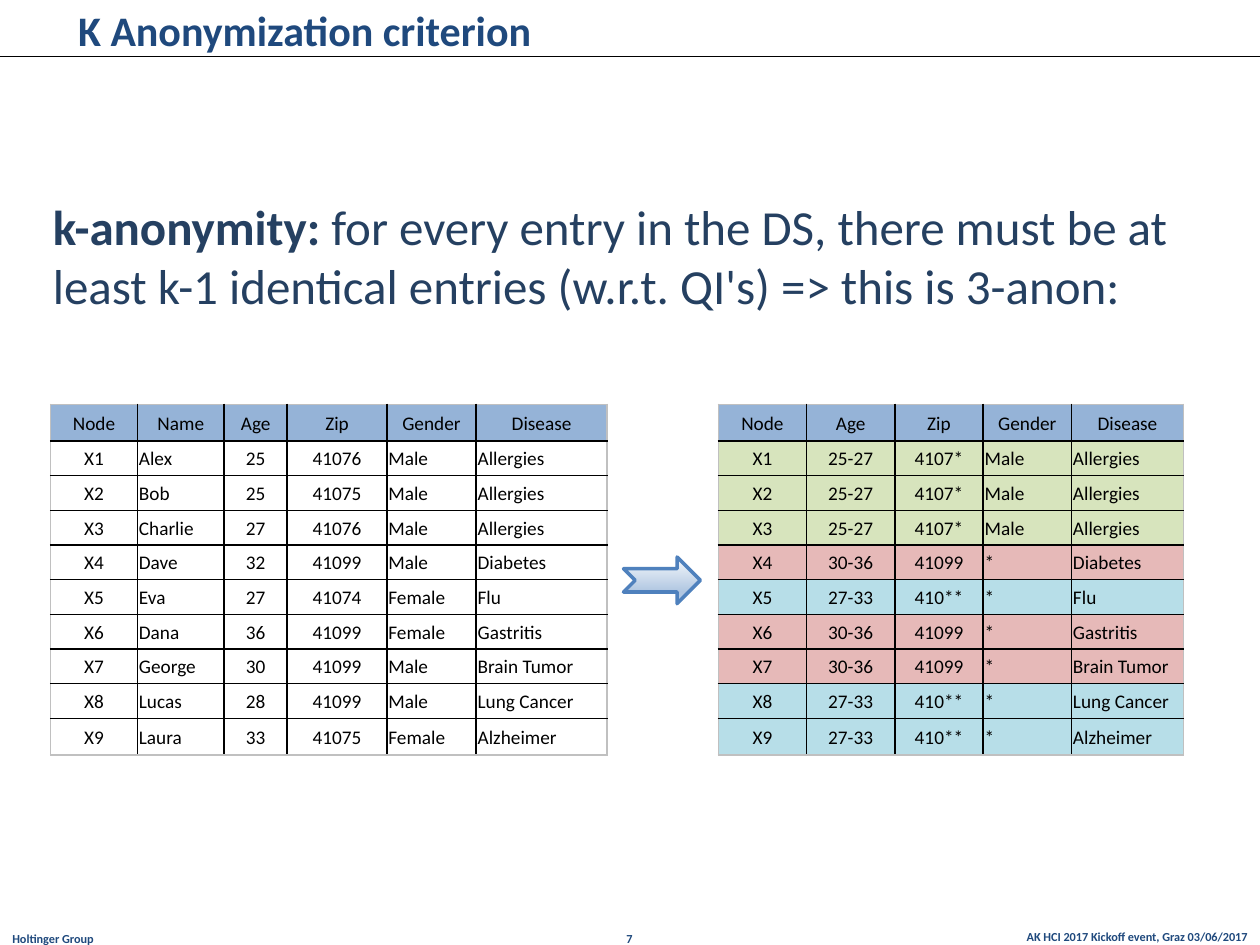
from copy import deepcopy

from lxml import etree
from pptx import Presentation
from pptx import util as u
from pptx.dml.color import RGBColor
from pptx.enum import shapes, text
from pptx.oxml.ns import qn

BLACK = RGBColor(0x00, 0x00, 0x00)
GREY = RGBColor(0xC0, 0xC0, 0xC0)
NAVY = RGBColor(0x1F, 0x49, 0x7D)
DARK_NAVY = RGBColor(0x25, 0x40, 0x61)
HEADER_BLUE = RGBColor(0x95, 0xB3, 0xD7)
GREEN = RGBColor(0xD7, 0xE4, 0xBD)
ROSE = RGBColor(0xE6, 0xB9, 0xB8)
AQUA = RGBColor(0xB7, 0xDE, 0xE8)
ARROW_LINE = RGBColor(0x4F, 0x81, 0xBD)
ARROW_LIGHT = RGBColor(0xF6, 0xF9, 0xFC)
ARROW_MID = RGBColor(0xB0, 0xC6, 0xE1)
ARROW_END = RGBColor(0xCA, 0xD9, 0xEB)
ARROW_STOPS = [(0, ARROW_LIGHT), (0.74, ARROW_MID), (0.83, ARROW_MID), (1, ARROW_END)]

LEFT_ALIGNED = {"Name", "Gender", "Disease"}
TABLE_TOP = 8.15
EDGE_ROW, INNER_ROW = 0.74, 0.7

PEOPLE = [
    ("Node", "Name", "Age", "Zip", "Gender", "Disease"),
    ("X1", "Alex", "25", "41076", "Male", "Allergies"),
    ("X2", "Bob", "25", "41075", "Male", "Allergies"),
    ("X3", "Charlie", "27", "41076", "Male", "Allergies"),
    ("X4", "Dave", "32", "41099", "Male", "Diabetes"),
    ("X5", "Eva", "27", "41074", "Female", "Flu"),
    ("X6", "Dana", "36", "41099", "Female", "Gastritis"),
    ("X7", "George", "30", "41099", "Male", "Brain Tumor"),
    ("X8", "Lucas", "28", "41099", "Male", "Lung Cancer"),
    ("X9", "Laura", "33", "41075", "Female", "Alzheimer"),
]
GROUPS = {
    GREEN: ("25-27", "4107*", "Male"),
    ROSE: ("30-36", "41099", "*"),
    AQUA: ("27-33", "410**", "*"),
}
GROUP_ORDER = [GREEN, GREEN, GREEN, ROSE, AQUA, ROSE, ROSE, AQUA, AQUA]
ANONYMOUS = [("Node", "Age", "Zip", "Gender", "Disease")] + [
    (person[0], *GROUPS[group], person[-1])
    for person, group in zip(PEOPLE[1:], GROUP_ORDER)
]


class SlideBuilder:
    font = "Calibri"

    def __init__(self, slide):
        self.slide = slide

    def add_run(self, paragraph, words, size, color, bold=False):
        run = paragraph.add_run()
        run.text = words
        run.font.name = self.font
        run.font.size = u.Pt(size)
        run.font.bold = bold
        run.font.color.rgb = color

    def place(self, shape, left, top, width, height):
        shape.left, shape.top = u.Cm(left), u.Cm(top)
        shape.width, shape.height = u.Cm(width), u.Cm(height)

    def fill_placeholder(self, shape, box, runs, size, color):
        self.place(shape, *box)
        frame = shape.text_frame
        frame.auto_size = text.MSO_AUTO_SIZE.NONE
        frame.word_wrap = True
        frame.vertical_anchor = text.MSO_ANCHOR.TOP
        paragraph = frame.paragraphs[0]
        paragraph.alignment = text.PP_ALIGN.LEFT
        paragraph.space_before = u.Pt(0)
        properties = paragraph._p.get_or_add_pPr()
        properties.set("marL", "0")
        properties.set("indent", "0")
        etree.SubElement(properties, qn("a:buNone"))
        for words, bold in runs:
            self.add_run(paragraph, words, size, color, bold)

    def title(self, words, box):
        self.fill_placeholder(self.slide.shapes.title, box, [(words, True)], 24, NAVY)

    def body(self, runs, box):
        self.fill_placeholder(self.slide.placeholders[1], box, runs, 28, DARK_NAVY)

    def footer(self, words, left, top, width, alignment):
        shape = self.slide.shapes.add_textbox(
            u.Cm(left), u.Cm(top), u.Cm(width), u.Cm(0.76))
        frame = shape.text_frame
        frame.word_wrap = True
        frame.vertical_anchor = text.MSO_ANCHOR.BOTTOM
        frame.margin_bottom = 0
        frame.paragraphs[0].alignment = alignment
        self.add_run(frame.paragraphs[0], words, 7, NAVY, True)

    def rule(self, left, right, height):
        line = self.slide.shapes.add_connector(
            shapes.MSO_CONNECTOR.STRAIGHT, u.Cm(left), u.Cm(height), u.Cm(right), u.Cm(height))
        line.line.color.rgb = BLACK
        line.line.width = u.Pt(0.75)
        etree.SubElement(line._element.spPr, qn("a:effectLst"))

    def border(self, cell, side, color):
        line = etree.SubElement(
            cell._tc.get_or_add_tcPr(), qn(f"a:ln{side}"), w=str(u.Pt(1)))
        solid = etree.SubElement(line, qn("a:solidFill"))
        etree.SubElement(solid, qn("a:srgbClr"), val=str(color))

    def table(self, rows, left, widths, row_fills):
        heights = [EDGE_ROW] + [INNER_ROW] * (len(rows) - 2) + [EDGE_ROW]
        table = self.slide.shapes.add_table(
            len(rows), len(widths), u.Cm(left), u.Cm(TABLE_TOP),
            u.Cm(sum(widths)), u.Cm(sum(heights))).table
        table.first_row = table.horz_banding = False
        for column, width in zip(table.columns, widths):
            column.width = u.Cm(width)
        last_row, last_column = len(rows) - 1, len(widths) - 1
        for i, (row, fill) in enumerate(zip(rows, row_fills)):
            table.rows[i].height = u.Cm(heights[i])
            for j, words in enumerate(row):
                cell = table.cell(i, j)
                outer = {"L": j == 0, "R": j == last_column, "T": i == 0, "B": i == last_row}
                for side, is_outer in outer.items():
                    self.border(cell, side, GREY if is_outer else BLACK)
                self.fill_cell(cell, words, fill, i > 0 and rows[0][j] in LEFT_ALIGNED)

    def fill_cell(self, cell, words, fill, to_left):
        if fill is None:
            cell.fill.background()
        else:
            cell.fill.solid()
            cell.fill.fore_color.rgb = fill
        cell.margin_left = cell.margin_right = cell.margin_top = u.Cm(0.03)
        cell.margin_bottom = 0
        cell.vertical_anchor = text.MSO_ANCHOR.MIDDLE
        paragraph = cell.text_frame.paragraphs[0]
        paragraph.alignment = text.PP_ALIGN.LEFT if to_left else text.PP_ALIGN.CENTER
        self.add_run(paragraph, words, 11, BLACK)

    def arrow(self, left, top, width, height):
        shape = self.slide.shapes.add_shape(
            shapes.MSO_SHAPE.NOTCHED_RIGHT_ARROW,
            u.Cm(left), u.Cm(top), u.Cm(width), u.Cm(height))
        shape.shadow.inherit = False
        shape.line.color.rgb = ARROW_LINE
        shape.line.width = u.Pt(2)
        shape.fill.gradient()
        shape.fill.gradient_angle = 270
        stops = shape._element.spPr.find(".//" + qn("a:gsLst"))
        while len(stops) < len(ARROW_STOPS):
            stops.append(deepcopy(stops[0]))
        for stop, (position, color) in zip(shape.fill.gradient_stops, ARROW_STOPS):
            stop.position = position
            stop.color.rgb = color


def main():
    presentation = Presentation()
    presentation.slide_width, presentation.slide_height = u.Cm(25.4), u.Cm(19.05)
    builder = SlideBuilder(presentation.slides.add_slide(presentation.slide_layouts[1]))
    builder.rule(0, 25.4, 1.14)
    builder.footer("AK HCI 2017 Kickoff event, Graz 03/06/2017", 16.69, 18.27, 8.71,
                   text.PP_ALIGN.RIGHT)
    builder.footer("Holtinger Group", 0, 18.31, 7.29, text.PP_ALIGN.LEFT)
    builder.footer("7", 10.34, 18.31, 4.7, text.PP_ALIGN.CENTER)
    builder.title("K Anonymization criterion", (1.32, -0.03, 20.37, 1.19))
    builder.body([
        ("k-anonymity: ", True),
        ("for every entry in the DS, there must be at least k-1 identical entries "
         "(w.r.t. QI's) => this is 3-anon:", False),
    ], (0.81, 3.84, 24.13, 3))
    builder.table(PEOPLE, 1.02, [1.75, 1.75, 1.27, 2.01, 1.8, 2.64],
                  [HEADER_BLUE] + [None] * 9)
    builder.table(ANONYMOUS, 14.48, [1.78] * 4 + [2.26], [HEADER_BLUE] + GROUP_ORDER)
    builder.arrow(12.57, 11.23, 1.55, 0.94)
    presentation.save("out.pptx")


if __name__ == "__main__":
    main()
